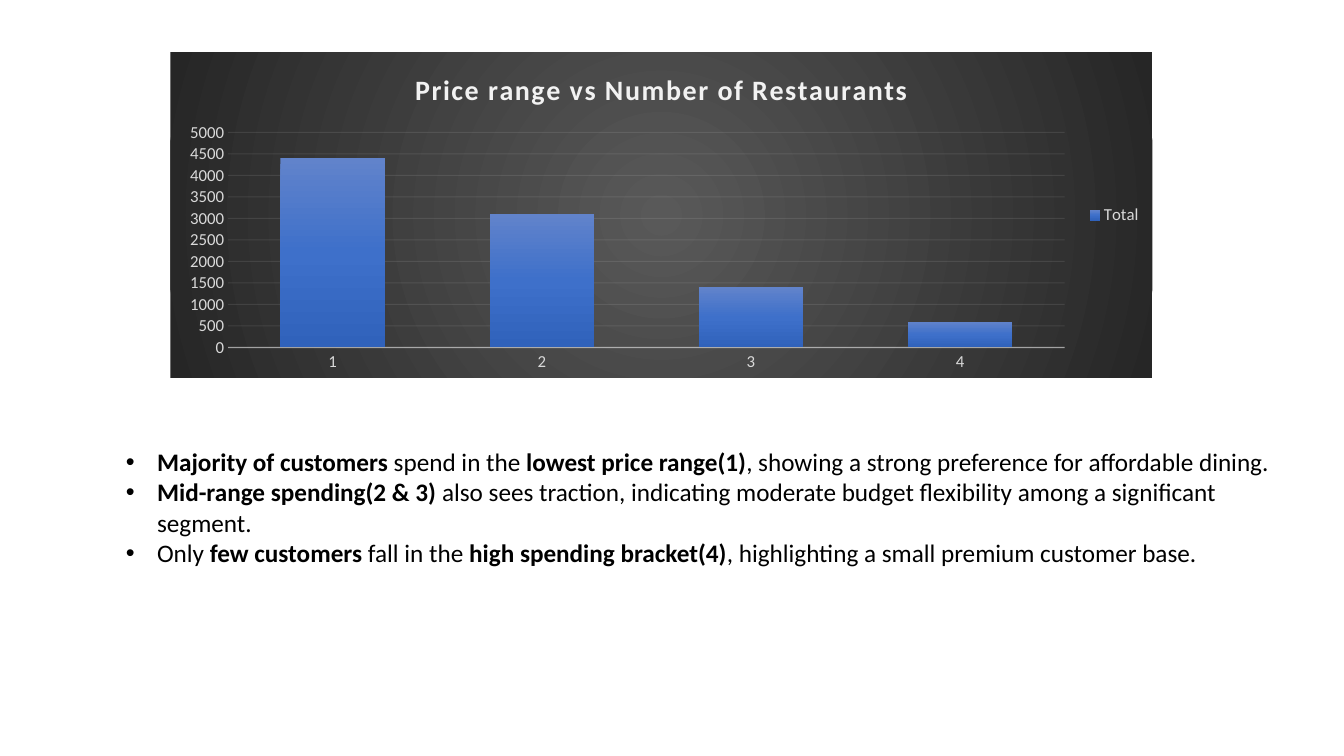
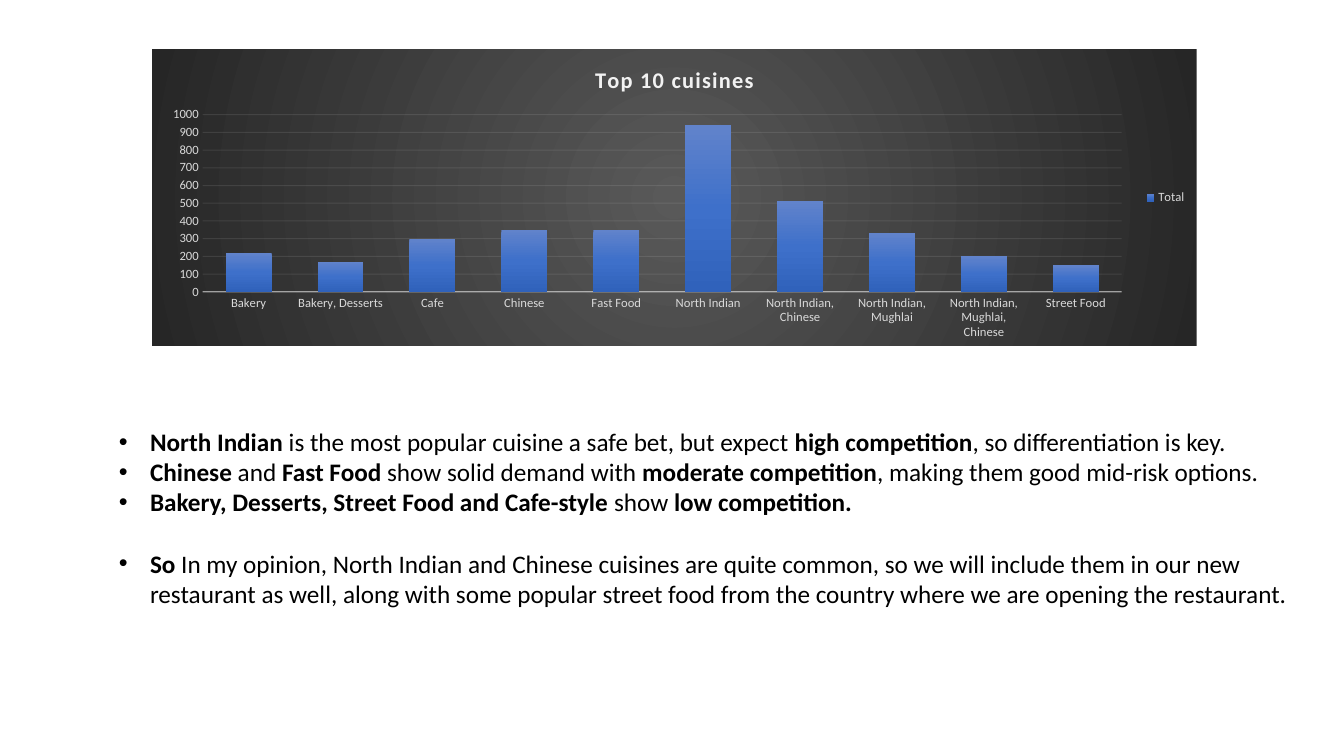
"""Build two restaurant insight slides, each with a column chart and bullets."""
from lxml import etree
from pptx import Presentation
from pptx.chart.data import CategoryChartData
from pptx.dml.color import RGBColor
from pptx.enum.chart import XL_CHART_TYPE, XL_LEGEND_POSITION, XL_TICK_MARK
from pptx.oxml import parse_xml
from pptx.oxml.ns import nsdecls, qn
from pptx.util import Inches, Pt

FONT = "Calibri"
BLACK = RGBColor(0x00, 0x00, 0x00)
LABEL = RGBColor(0xD9, 0xD9, 0xD9)
LIGHT = RGBColor(0xF2, 0xF2, 0xF2)
BACKDROP = [(0, RGBColor(0x59, 0x59, 0x59)), (100, RGBColor(0x26, 0x26, 0x26))]
COLUMN = [(0, RGBColor(0x61, 0x83, 0xCB)), (50, RGBColor(0x3E, 0x70, 0xCA)),
          (100, RGBColor(0x30, 0x62, 0xBB))]
RADIAL = ('<a:path path="circle"><a:fillToRect l="50000" t="50000" '
          'r="50000" b="50000"/></a:path>')
DOWNWARD = '<a:lin ang="5400000" scaled="0"/>'

SLIDES = [
    {
        "title": "Price range vs Number of Restaurants",
        "title_size": 20, "label_size": 12, "top": 5000, "step": 500,
        "chart_at": (1.69, 0.52, 9.74, 3.23),
        "data": {"1": 4400, "2": 3100, "3": 1400, "4": 600},
        "text_at": (1.15, 4.38, 11.6, 1.62),
        "bullets": [
            ("**Majority of customers** spend in the **lowest price range(1)**, "
             "showing a strong preference for affordable dining.", 0),
            ("**Mid-range spending(2 & 3)** also sees traction, indicating moderate "
             "budget flexibility among a significant segment.", 0),
            ("Only **few customers** fall in the **high spending bracket(4)**, "
             "highlighting a small premium customer base.", 0),
        ],
    },
    {
        "title": "Top 10 cuisines",
        "title_size": 16, "label_size": 9, "top": 1000, "step": 100,
        "chart_at": (1.51, 0.49, 10.36, 2.94),
        "data": {"Bakery": 220, "Bakery, Desserts": 170, "Cafe": 300,
                 "Chinese": 350, "Fast Food": 350, "North Indian": 940,
                 "North Indian, Chinese": 510, "North Indian, Mughlai": 330,
                 "North Indian, Mughlai, Chinese": 200, "Street Food": 150},
        "text_at": (1.08, 4.18, 11.81, 2.22),
        "bullets": [
            ("**North Indian** is the most popular cuisine a safe bet, but expect "
             "**high competition**, so differentiation is key.", 0),
            ("**Chinese** and **Fast Food** show solid demand with "
             "**moderate competition**, making them good mid-risk options.", 0),
            ("**Bakery, Desserts, Street Food and Cafe-style **show"
             "** low competition.**", 0),
            ("**So **In my opinion, North Indian and Chinese cuisines are quite "
             "common, so we will include them in our new restaurant as well, along "
             "with some popular street food from the country where we are opening "
             "the restaurant.", 22),
        ],
    },
]


def set_font(font, size, color, bold=False):
    values = {"name": FONT, "size": Pt(size), "bold": bold}
    for name, value in values.items():
        setattr(font, name, value)
    font.color.rgb = color


def gradient(stops, direction):
    marks = "".join(f'<a:gs pos="{pos * 1000}"><a:srgbClr val="{color}"/></a:gs>'
                    for pos, color in stops)
    return parse_xml(f'<a:gradFill {nsdecls("a")} rotWithShape="1">'
                     f'<a:gsLst>{marks}</a:gsLst>{direction}</a:gradFill>')


def style_line(axis, line, width, opacity):
    line.color.rgb = LIGHT
    line.width = Pt(width)
    for color in axis._element.xpath(".//a:ln//a:srgbClr"):
        etree.SubElement(color, qn("a:alpha"), val=str(opacity * 1000))


def add_column_chart(s, item):
    data = CategoryChartData()
    data.categories = list(item["data"])
    data.add_series("Total", list(item["data"].values()))
    frame = s.shapes.add_chart(XL_CHART_TYPE.COLUMN_CLUSTERED,
                               *map(Inches, item["chart_at"]), data)
    chart = frame.chart
    set_font(chart.font, 10, BLACK)
    space = chart._chartSpace
    backdrop = parse_xml(f'<c:spPr {nsdecls("c", "a")}><a:ln><a:noFill/></a:ln></c:spPr>')
    backdrop.insert(0, gradient(BACKDROP, RADIAL))
    space.find(qn("c:txPr")).addprevious(backdrop)

    chart.has_title = True
    p = chart.chart_title.text_frame.paragraphs[0]
    r = p.add_run()
    r.text = item["title"]
    set_font(r.font, item["title_size"], LIGHT, True)
    r._r.get_or_add_rPr().set("spc", "100")
    chart.chart_title.include_in_layout = False

    chart.has_legend = True
    chart.legend.position = XL_LEGEND_POSITION.RIGHT
    chart.legend.include_in_layout = False
    set_font(chart.legend.font, item["label_size"], LABEL)

    cats, vals = chart.category_axis, chart.value_axis
    for axis in (cats, vals):
        axis.major_tick_mark = axis.minor_tick_mark = XL_TICK_MARK.NONE
        set_font(axis.tick_labels.font, item["label_size"], LABEL)
    style_line(cats, cats.format.line, 1, 54)
    style_line(vals, vals.major_gridlines.format.line, 0.75, 10)
    vals.format.line.fill.background()
    scale = {"minimum_scale": 0, "maximum_scale": item["top"], "major_unit": item["step"]}
    for name, value in scale.items():
        setattr(vals, name, value)

    plot = chart.plots[0]
    for name, value in {"gap_width": 100, "overlap": -24, "vary_by_categories": False}.items():
        setattr(plot, name, value)
    series = plot.series[0]
    series.invert_if_negative = False
    series._element.get_or_add_spPr().insert(0, gradient(COLUMN, DOWNWARD))


def add_bullets(s, item):
    tf = s.shapes.add_textbox(*map(Inches, item["text_at"])).text_frame
    tf.word_wrap = True
    for i, (text, gap) in enumerate(item["bullets"]):
        p = tf.paragraphs[0] if i == 0 else tf.add_paragraph()
        pPr = p._p.get_or_add_pPr()
        indent = Inches(0.31)
        pPr.set("marL", str(indent))
        pPr.set("indent", str(-indent))
        etree.SubElement(pPr, qn("a:buFont"), typeface="Arial")
        etree.SubElement(pPr, qn("a:buChar"), char="•")
        if gap:
            p.space_before = Pt(gap)
        for n, part in enumerate(text.split("**")):
            if part:
                r = p.add_run()
                r.text = part
                set_font(r.font, 18, BLACK, n % 2 == 1)


def main():
    prs = Presentation()
    prs.slide_width, prs.slide_height = Inches(13.33), Inches(7.5)
    for item in SLIDES:
        s = prs.slides.add_slide(prs.slide_layouts[6])
        add_column_chart(s, item)
        add_bullets(s, item)
    prs.save("out.pptx")


if __name__ == "__main__":
    main()
